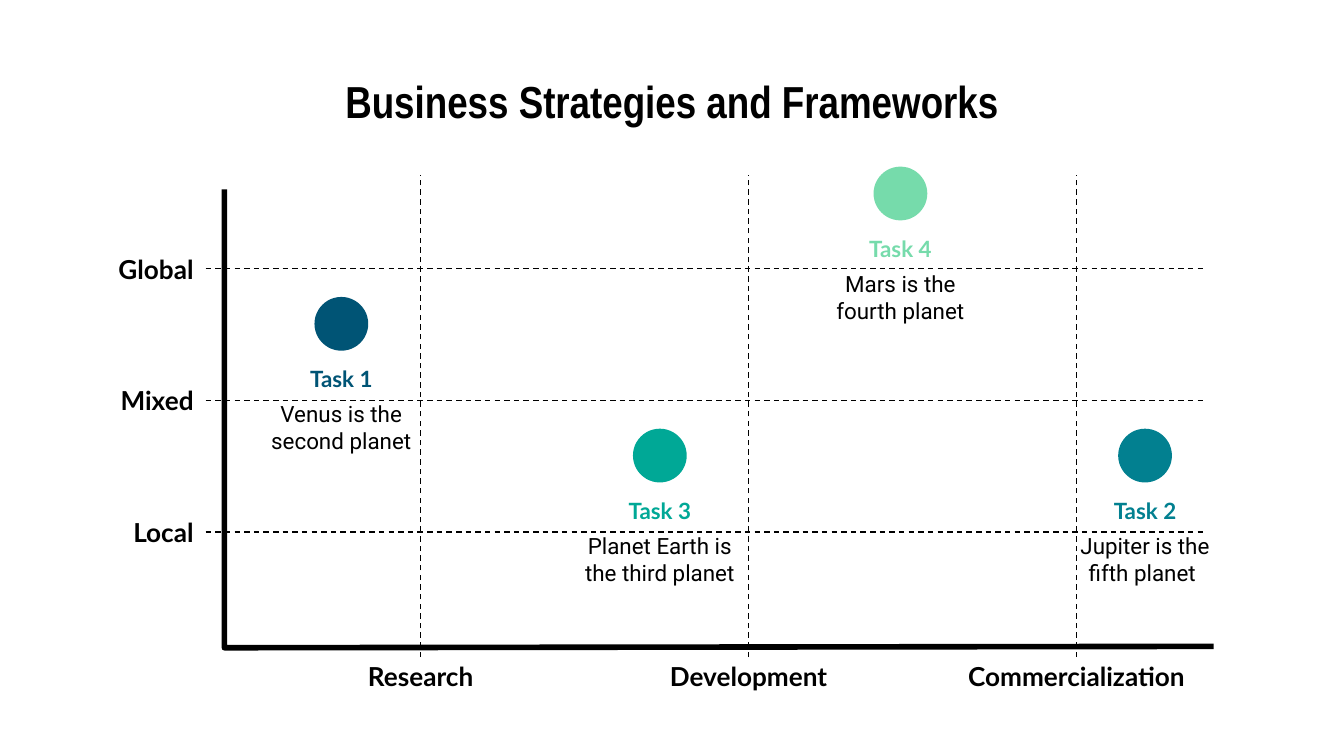
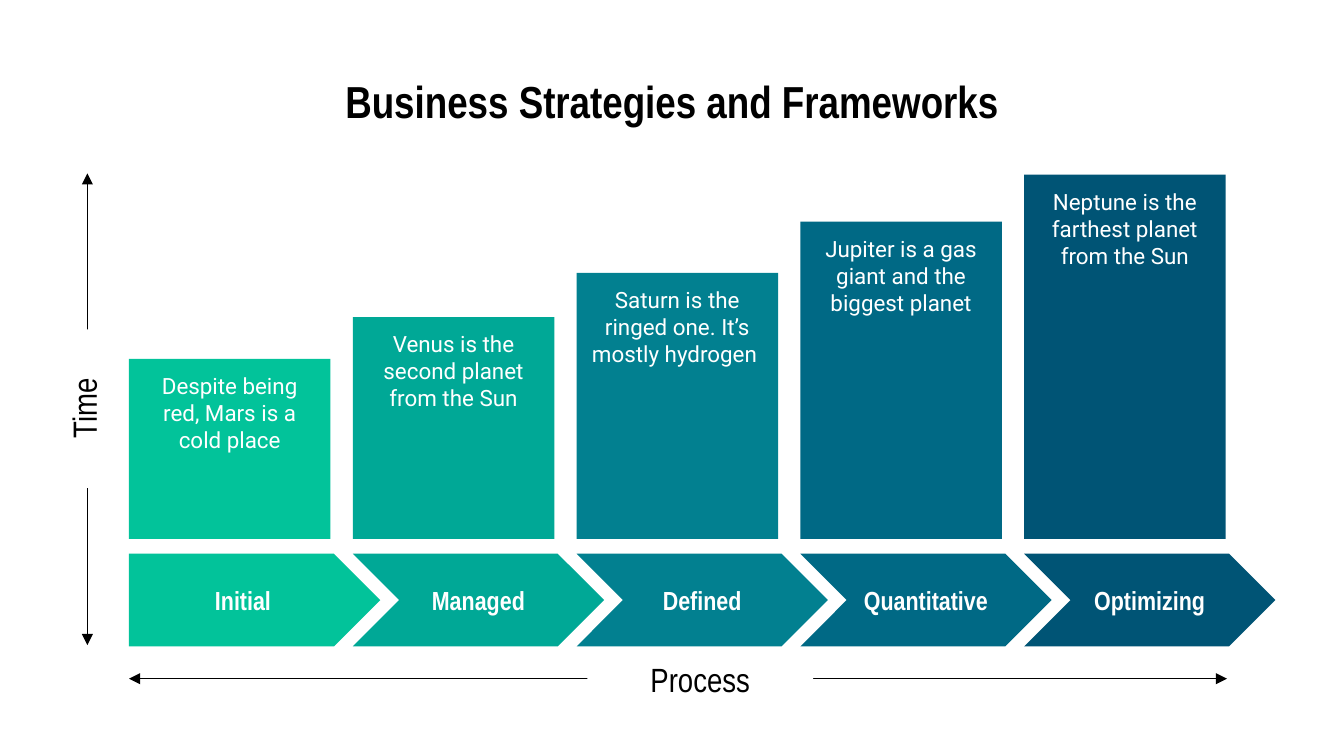
from lxml.etree import SubElement
from pptx import Presentation
from pptx.dml.color import RGBColor
from pptx.enum.dml import MSO_LINE
from pptx.enum.shapes import MSO_CONNECTOR, MSO_SHAPE
from pptx.enum.text import MSO_ANCHOR as Anchor, MSO_AUTO_SIZE, PP_ALIGN as Align
from pptx.oxml.ns import qn
from pptx.util import Inches, Pt

BLACK = RGBColor(0x00, 0x00, 0x00)
WHITE = RGBColor(0xFF, 0xFF, 0xFF)
MINT = RGBColor(0x76, 0xDB, 0xAB)
GREEN = RGBColor(0x02, 0xC3, 0x9A)
JADE = RGBColor(0x00, 0xA8, 0x96)
TEAL = RGBColor(0x02, 0x80, 0x90)
OCEAN = RGBColor(0x00, 0x69, 0x85)
NAVY = RGBColor(0x00, 0x54, 0x75)

HEADING_FONT, LABEL_FONT, BODY_FONT = "Arial Narrow", "Lato", "Roboto"
TITLE = "Business Strategies and Frameworks"
TITLE_ONLY = 5


def write_text(shape, text, font=BODY_FONT, size=12, color=BLACK, bold=False,
               align=Align.CENTER, anchor=Anchor.MIDDLE):
    frame = shape.text_frame
    frame.word_wrap = True
    frame.auto_size = MSO_AUTO_SIZE.NONE
    frame.vertical_anchor = anchor
    frame.margin_left = frame.margin_right = Inches(0.1)
    frame.margin_top = frame.margin_bottom = Inches(0.1)
    paragraph = frame.paragraphs[0]
    paragraph.alignment = align
    run = paragraph.add_run()
    run.text = text
    run.font.name = font
    run.font.size = Pt(size)
    run.font.bold = bold
    run.font.color.rgb = color


class Deck:
    def __init__(self):
        self.prs = Presentation()
        self.prs.slide_width = Inches(10)
        self.prs.slide_height = Inches(10 * 9 / 16)
        self.slide = None

    def start_slide(self, title):
        self.slide = self.prs.slides.add_slide(self.prs.slide_layouts[TITLE_ONLY])
        heading = self.slide.shapes.title
        heading.left, heading.top = Inches(0.5), Inches(0.45)
        heading.width, heading.height = Inches(9), Inches(0.63)
        write_text(heading, title, font=HEADING_FONT, size=24, bold=True,
                   anchor=Anchor.TOP)

    def text(self, x, y, width, height, text, **fmt):
        box = self.slide.shapes.add_textbox(
            Inches(x), Inches(y), Inches(width), Inches(height))
        write_text(box, text, **fmt)

    def shape(self, kind, x, y, width, height, fill, text="", **fmt):
        shape = self.slide.shapes.add_shape(
            kind, Inches(x), Inches(y), Inches(width), Inches(height))
        shape.shadow.inherit = False
        shape.fill.solid()
        shape.fill.fore_color.rgb = fill
        shape.line.fill.background()
        if text:
            write_text(shape, text, **fmt)
        return shape

    def line(self, x1, y1, x2, y2, dashed=False, arrows=False):
        line = self.slide.shapes.add_connector(
            MSO_CONNECTOR.STRAIGHT, Inches(x1), Inches(y1), Inches(x2), Inches(y2))
        line.line.color.rgb = BLACK
        line.line.width = Pt(0.75)
        if dashed:
            line.line.dash_style = MSO_LINE.DASH
        properties = line._element.spPr
        if arrows:
            outline = properties.find(qn("a:ln"))
            for end in ("a:headEnd", "a:tailEnd"):
                SubElement(outline, qn(end), type="triangle")
        SubElement(properties, qn("a:effectLst"))

    def polyline(self, points, width):
        start, *rest = [(Inches(x), Inches(y)) for x, y in points]
        builder = self.slide.shapes.build_freeform(*start, scale=1.0)
        builder.add_line_segments(rest, close=False)
        outline = builder.convert_to_shape()
        outline.shadow.inherit = False
        outline.fill.background()
        outline.line.color.rgb = BLACK
        outline.line.width = Pt(width)


def add_task(deck, name, description, x, y, color):
    """Draw a dot centred on x, with its name and description below."""
    deck.shape(MSO_SHAPE.OVAL, x - 0.2, y, 0.4, 0.4, color)
    deck.text(x - 0.39, y + 0.47, 0.78, 0.28, name,
              font=LABEL_FONT, color=color, bold=True)
    deck.text(x - 0.73, y + 0.67, 1.46, 0.6, description)


def build_task_map(deck):
    deck.start_slide(TITLE)
    label_style = dict(font=LABEL_FONT, size=14, bold=True)
    scopes = [(2 + 0.98 * i, scope)
              for i, scope in enumerate(("Global", "Mixed", "Local"))]
    phases = [(3.13 + 2.44 * i, phase) for i, phase in
              enumerate(("Research", "Development", "Commercialization"))]

    for y, scope in scopes:
        deck.text(0.76, y - 0.14, 0.78, 0.28, scope, align=Align.RIGHT, **label_style)
    for x, phase in phases:
        deck.text(x - 0.94, 4.89, 1.88, 0.28, phase, **label_style)
    deck.polyline([(1.67, 1.41), (1.67, 4.82), (9.03, 4.81)], width=3)
    for y, _ in scopes:
        deck.line(1.53, y, 8.98, y, dashed=True)
    for x, _ in phases:
        deck.line(x, 4.89, x, 1.3, dashed=True)

    add_task(deck, "Task 1", "Venus is the second planet", 2.54, 2.21, NAVY)
    add_task(deck, "Task 4", "Mars is the fourth planet", 6.7, 1.24, MINT)
    add_task(deck, "Task 2", "Jupiter is the fifth planet ", 8.52, 3.19, TEAL)
    add_task(deck, "Task 3", "Planet Earth is the third planet", 4.91, 3.19, JADE)


def build_maturity_steps(deck):
    deck.start_slide(TITLE)
    axis_style = dict(font=HEADING_FONT, size=18)
    deck.line(9.13, 5.05, 0.96, 5.05, arrows=True)
    deck.shape(MSO_SHAPE.RECTANGLE, 4.37, 4.92, 1.68, 0.26, WHITE,
               "Process", **axis_style)

    stages = [
        ("Initial", "Despite being red, Mars is a cold place", 2.67, GREEN),
        ("Managed", "Venus is the second planet from the Sun", 2.36, JADE),
        ("Defined", "Saturn is the ringed one. It’s mostly hydrogen ", 2.03, TEAL),
        ("Quantitative", "Jupiter is a gas giant and the biggest planet", 1.65, OCEAN),
        ("Optimizing", "Neptune is the farthest planet from the Sun", 1.3, NAVY),
    ]
    bar_bottom = 4.01
    for i, (stage, description, top, color) in enumerate(stages):
        x = 0.96 + 6.66 / 4 * i
        arrow = MSO_SHAPE.CHEVRON if i else MSO_SHAPE.PENTAGON
        deck.shape(arrow, x, 4.12, 1.87, 0.69, color, stage,
                   font=HEADING_FONT, size=14, color=WHITE, bold=True)
        deck.shape(MSO_SHAPE.RECTANGLE, x, top, 1.5, bar_bottom - top, color,
                   description, color=WHITE, anchor=Anchor.TOP)

    deck.line(0.65, 1.29, 0.65, 4.8, arrows=True)
    time_label = deck.shape(MSO_SHAPE.RECTANGLE, 0.03, 2.9, 1.18, 0.28, WHITE,
                            "Time", **axis_style)
    time_label.rotation = 270


def main():
    deck = Deck()
    build_task_map(deck)
    build_maturity_steps(deck)
    deck.prs.save("out.pptx")


if __name__ == "__main__":
    main()
